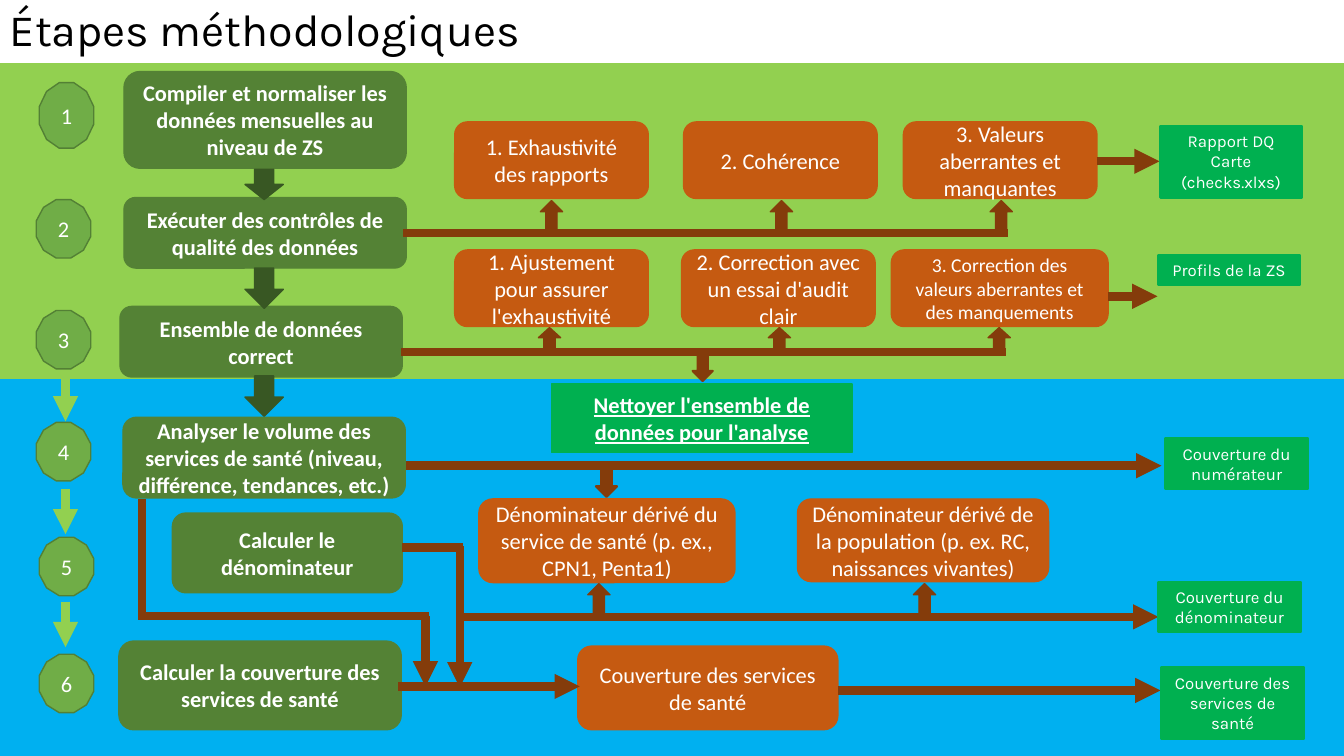
from lxml import etree
from pptx import Presentation
from pptx.dml.color import RGBColor
from pptx.enum.shapes import MSO_CONNECTOR, MSO_SHAPE
from pptx.enum.text import MSO_ANCHOR, PP_ALIGN
from pptx.oxml.ns import qn
from pptx.util import Inches, Pt

STRAIGHT = MSO_CONNECTOR.STRAIGHT
RECT, ROUNDED = MSO_SHAPE.RECTANGLE, MSO_SHAPE.ROUNDED_RECTANGLE
DODECAGON = MSO_SHAPE.DODECAGON
DOWN_ARROW, RIGHT_ARROW = MSO_SHAPE.DOWN_ARROW, MSO_SHAPE.RIGHT_ARROW
CENTER = PP_ALIGN.CENTER
TOP, MIDDLE = MSO_ANCHOR.TOP, MSO_ANCHOR.MIDDLE

COLORS = {
    "black": "000000", "white": "FFFFFF",
    "data_band": "92D050", "analysis_band": "00B0F0",
    "step": "548235", "step_arrow": "385723",
    "marker": "70AD47", "marker_edge": "538035",
    "card": "C55A11", "flow": "843C0B", "output": "00B050",
}


def rgb(name):
    return RGBColor.from_string(COLORS[name])


def write(shape, text, size, font="Calibri", color="white", bold=None,
          underline=None, align=CENTER, anchor=MIDDLE):
    frame = shape.text_frame
    frame.word_wrap = True
    frame.vertical_anchor = anchor
    frame.text = text
    for paragraph in frame.paragraphs:
        paragraph.alignment = align
        for run in paragraph.runs:
            run.font.name = font
            run.font.size = Pt(size)
            run.font.bold = bold
            run.font.underline = underline
            run.font.color.rgb = rgb(color)
    return frame


def add_block(slide, kind, box, fill, edge=None, edge_width=1):
    block = slide.shapes.add_shape(kind, *map(Inches, box))
    block.shadow.inherit = False
    block.fill.solid()
    block.fill.fore_color.rgb = rgb(fill)
    block.line.color.rgb = rgb(edge or fill)
    block.line.width = Pt(edge_width)
    return block


def add_flow(slide, start, end, arrow=True, color="flow"):
    flow = slide.shapes.add_connector(STRAIGHT, *map(Inches, (*start, *end)))
    flow.line.color.rgb = rgb(color)
    flow.line.width = Pt(6)
    if arrow:
        line = flow.line._get_or_add_ln()
        etree.SubElement(line, qn("a:tailEnd")).set("type", "triangle")
    etree.SubElement(flow._element.spPr, qn("a:effectLst"))


def add_up_arrow(slide, center_x, center_y, length):
    box = (center_x - length / 2, center_y - 0.11, length, 0.22)
    add_block(slide, RIGHT_ARROW, box, "flow").rotation = 270


def add_step(slide, box, text):
    write(add_block(slide, ROUNDED, box, "step"), text, 16, bold=True)


def add_card(slide, box, text, size=16):
    write(add_block(slide, ROUNDED, box, "card"), text, size)


def add_output(slide, box, text):
    output = add_block(slide, RECT, box, "output", edge_width=1.5)
    write(output, text, 12, font="Karla", anchor=TOP)


def title(slide, box):
    heading = slide.shapes.add_textbox(*map(Inches, box))
    frame = write(heading, "Étapes méthodologiques", 32, font="Karla",
                  color="black", align=PP_ALIGN.LEFT)
    frame.paragraphs[0].line_spacing = 0.9


def bands(slide, left, top, width):
    add_block(slide, RECT, (left, top + 3.1, width, 3.74), "analysis_band", edge_width=3)
    add_block(slide, RECT, (left, top, width, 3.09), "data_band", edge_width=3)


def step_markers(slide, left, top):
    """Numbered column with an arrow between each pair of numbers."""
    places = [(0.03, 0, 0.65), (0, 1.16, 0.58), (0, 2.26, 0.58),
              (0, 3.37, 0.58), (0.03, 4.51, 0.58), (0.03, 5.67, 0.58)]
    for number, (dx, dy, height) in enumerate(places, 1):
        marker = add_block(slide, DODECAGON, (left + dx, top + dy, 0.54, height),
                           "marker", "marker_edge")
        write(marker, str(number), 16)
    for gap in range(len(places) - 1):
        x, y = left + 0.29, top + 0.67 + 1.12 * gap
        add_flow(slide, (x, y), (x, y + 0.45), color="data_band")


def main_steps(slide, left, top):
    steps = [
        (0.05, 0, 2.8, 0.96, "Compiler et normaliser les données mensuelles au niveau de ZS"),
        (0.05, 1.25, 2.8, 0.7, "Exécuter des contrôles de qualité des données"),
        (0.01, 2.33, 2.8, 0.7, "Ensemble de données correct"),
        (0.04, 3.43, 2.8, 0.8,
         "Analyser le volume des services de santé (niveau, différence, tendances, etc.)"),
        (0.53, 4.38, 2.28, 0.79, "Calculer le dénominateur"),
        (0, 5.65, 2.8, 0.88, "Calculer la couverture des services de santé"),
    ]
    for dx, dy, width, height, text in steps:
        add_step(slide, (left + dx, top + dy, width, height), text)
    for dy, height in [(0.97, 0.3), (1.95, 0.4), (3.02, 0.4)]:
        add_block(slide, DOWN_ARROW, (left + 1.25, top + dy, 0.38, height), "step_arrow")


def card_row(slide, left, top, cards, bus_dy, stem_dy, stem_length, output):
    """Three cards fed from one line below, the last leading to an output."""
    for dx, width, size, text in cards:
        add_card(slide, (left + dx, top, width, 0.76), text, size)
    bus_y = top + bus_dy
    add_flow(slide, (left, bus_y), (left + 6, bus_y), arrow=False)
    for dx in (1.47, 3.75, 5.93):
        add_up_arrow(slide, left + dx, top + stem_dy, stem_length)
    last_dx, last_width = cards[-1][:2]
    output_dy, height, flow_dy, text = output
    add_flow(slide, (left + last_dx + last_width, top + flow_dy),
             (left + 7.5, top + flow_dy))
    add_output(slide, (left + 7.51, top + output_dy, 1.4, height), text)


def clean_data(slide, left, top):
    add_block(slide, DOWN_ARROW, (left + 1.4, top, 0.2, 0.25), "flow", edge_width=1.5)
    result = add_block(slide, RECT, (left, top + 0.28, 2.98, 0.68), "output")
    write(result, "Nettoyer l'ensemble de données pour l'analyse", 16,
          bold=True, underline=True)


def denominators(slide, left, top):
    """Numerator line, the two denominators and their shared line."""
    add_flow(slide, (left, top), (left + 7.49, top))
    add_block(slide, DOWN_ARROW, (left + 1.88, top + 0.01, 0.21, 0.3), "flow", edge_width=1.5)
    add_card(slide, (left + 0.72, top + 0.33, 2.54, 0.83),
             "Dénominateur dérivé du service de santé (p. ex., CPN1, Penta1)")
    add_card(slide, (left + 3.88, top + 0.33, 2.49, 0.82),
             "Dénominateur dérivé de la population (p. ex. RC, naissances vivantes)")
    add_flow(slide, (left + 0.56, top + 1.5), (left + 7.46, top + 1.5))
    for dx in (1.91, 5.14):
        add_up_arrow(slide, left + dx, top + 1.32, 0.3)
    add_output(slide, (left + 7.53, top - 0.27, 1.41, 0.5), "Couverture du numérateur")
    add_output(slide, (left + 7.46, top + 1.15, 1.41, 0.5), "Couverture du dénominateur")


def coverage(slide, left, top):
    add_card(slide, (left + 1.78, top, 2.58, 0.83), "Couverture des services de santé")
    add_flow(slide, (left, top + 0.4), (left + 1.8, top + 0.4))
    add_flow(slide, (left + 4.36, top + 0.44), (left + 7.56, top + 0.44))
    add_output(slide, (left + 7.57, top + 0.21, 1.41, 0.71),
               "Couverture des services de santé")


def coverage_links(slide, left, top):
    """Lines from the volume and denominator steps down to coverage."""
    links = [
        ((0, 0), (0, 1.2), False),
        ((0.04, 1.16), (2.84, 1.16), False),
        ((2.81, 1.16), (2.81, 1.86), True),
        ((3.15, 0.47), (3.15, 1.87), True),
        ((2.58, 0.48), (3.18, 0.48), False),
    ]
    for (x1, y1), (x2, y2), arrow in links:
        add_flow(slide, (left + x1, top + y1), (left + x2, top + y2), arrow)


def main():
    deck = Presentation()
    deck.slide_width, deck.slide_height = Inches(13.33), Inches(7.5)
    slide = deck.slides.add_slide(deck.slide_layouts[6])
    bands(slide, 0, 0.65, 13.33)
    title(slide, (0, -0.04, 13.33, 0.72))
    main_steps(slide, 1.18, 0.71)
    card_row(slide, 4, 1.21, [
        (0.51, 1.92, 16, "1. Exhaustivité des rapports"),
        (2.78, 1.92, 16, "2. Cohérence"),
        (4.96, 1.92, 16, "3. Valeurs aberrantes et manquantes"),
    ], 1.1, 0.92, 0.28, (0.04, 0.71, 0.39, "Rapport DQ\nCarte (checks.xlxs)"))
    card_row(slide, 3.98, 2.48, [
        (0.53, 1.92, 16, "1. Ajustement pour assurer l'exhaustivité"),
        (2.78, 1.92, 16, "2. Correction avec un essai d'audit clair"),
        (4.86, 2.15, 14, "3. Correction des valeurs aberrantes et des manquements"),
    ], 1.01, 0.87, 0.2, (0.05, 0.3, 0.46, "Profils de la ZS"))
    clean_data(slide, 5.47, 3.53)
    denominators(slide, 4.03, 4.62)
    coverage(slide, 3.95, 6.41)
    step_markers(slide, 0.36, 0.82)
    coverage_links(slide, 1.41, 4.95)
    deck.save("out.pptx")


if __name__ == "__main__":
    main()
